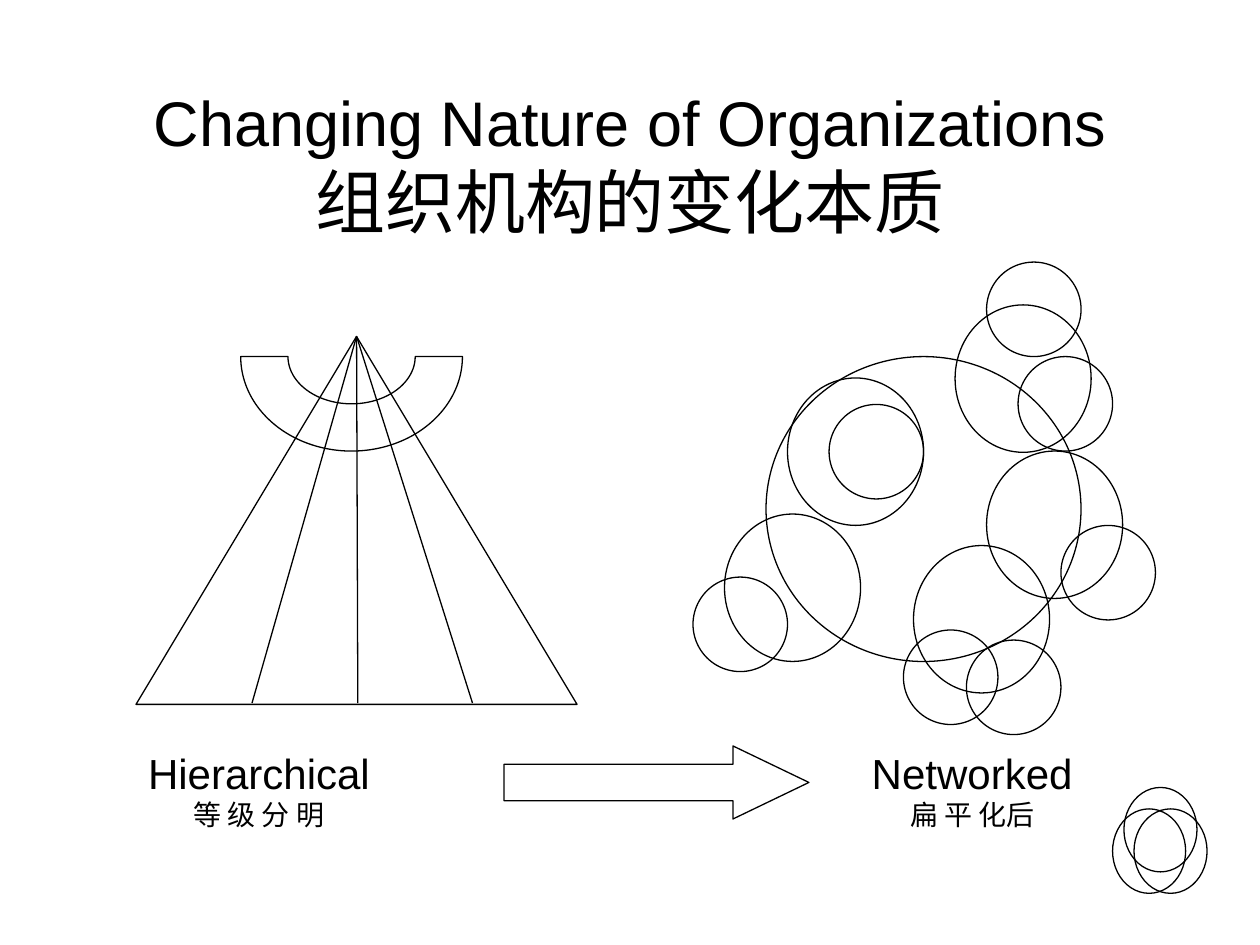
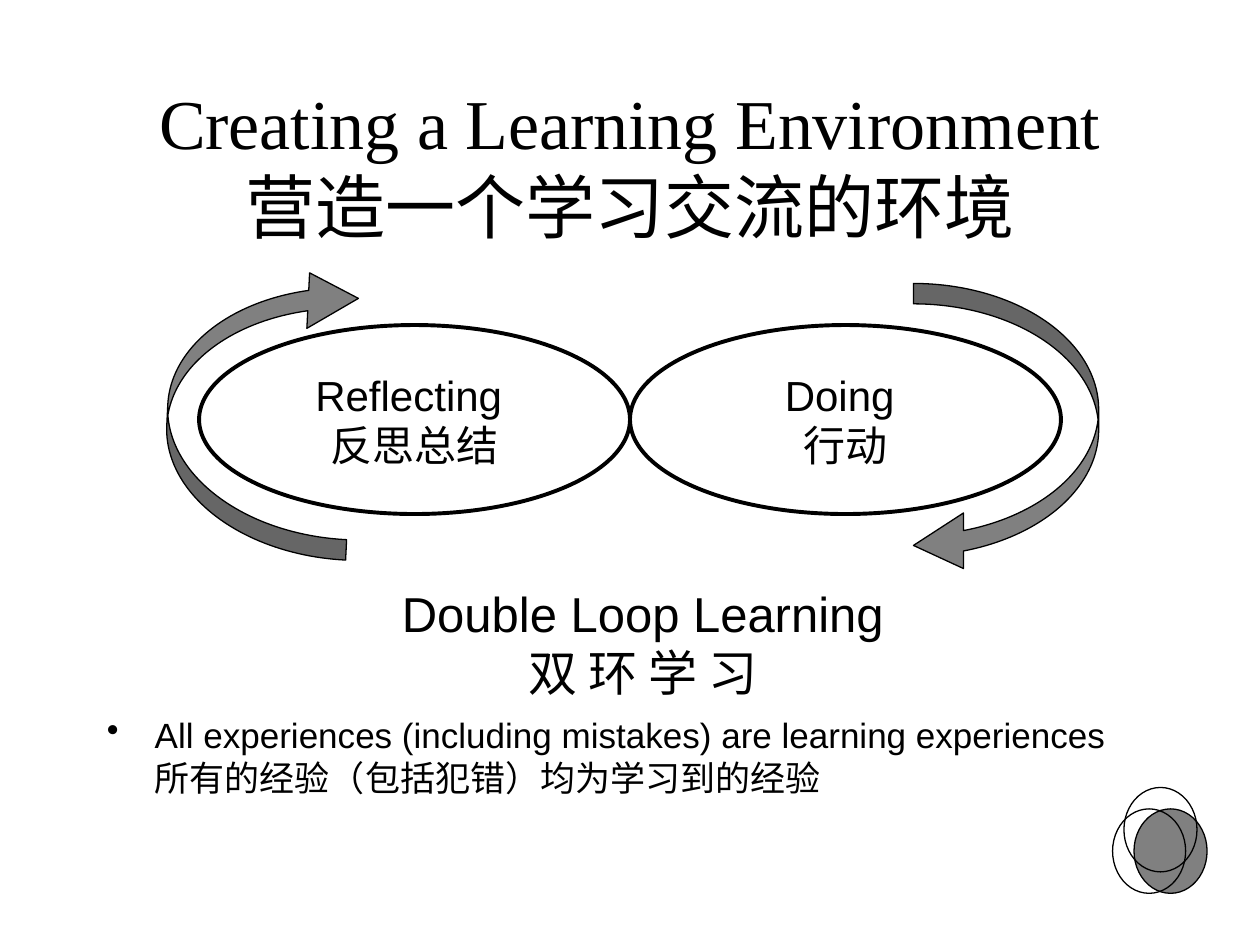
"""Build two slides on changing organizations and the learning environment."""
import dataclasses
import typing

import lxml.etree
import pptx
import pptx.dml.color
import pptx.enum.shapes
import pptx.enum.text
import pptx.oxml.ns
import pptx.shapes.autoshape
import pptx.slide
import pptx.text.text
import pptx.util

Inches = pptx.util.Inches
Pt = pptx.util.Pt
Preset = pptx.enum.shapes.MSO_SHAPE
Align = pptx.enum.text.PP_ALIGN
Anchor = pptx.enum.text.MSO_ANCHOR

BLACK = "000000"
GRAY = "808080"
SANS = "Arial"
SERIF = "Times New Roman"
THIN = 0.75
THICK = 2.25


@dataclasses.dataclass(frozen=True)
class Area:
    """A rectangle in inches."""

    left: float
    top: float
    width: float
    height: float

    def lengths(self) -> list[pptx.util.Length]:
        """Return the four measures as lengths."""
        return [Inches(value) for value in dataclasses.astuple(self)]


@dataclasses.dataclass(frozen=True)
class Line:
    """A line of text with its size in points."""

    text: str
    size: float


@dataclasses.dataclass(frozen=True)
class Label:
    """A centred text box with one paragraph per line."""

    area: Area
    lines: tuple[Line, ...]


@dataclasses.dataclass(frozen=True)
class Loop:
    """A labelled ellipse with the curved arrow around it."""

    ellipse: Area
    text: str
    arrow: Area
    rotation: float


TITLE_AREA = Area(0.75, 0.67, 8.5, 1.25)
BODY_AREA = Area(0.75, 5.68, 8.5, 1)

APEX = (2.83, 2.67)
BASE_Y = 5.58
BASE_POINTS = (2, 2.84, 3.75)

HUB = Area(6.08, 2.83, 2.5, 2.42)
TEAM_SIZE = (1.08, 1.17)
TEAMS = ((7.58, 2.42), (6.25, 3), (7.25, 4.33), (7.83, 3.58), (5.75, 4.08))
MEMBER_SIZE = (0.75, 0.75)
MEMBERS = (
    (5.5, 4.58), (8.42, 4.17), (7.67, 5.08), (7.17, 5),
    (8.08, 2.83), (7.83, 2.08), (6.58, 3.21),
)
EMBLEM_SIZE = (0.58, 0.67)
EMBLEM_FRONT = (9, 6.42)
EMBLEM_OTHERS = ((8.92, 6.25), (8.83, 6.42))

STRUCTURE_LABELS = (
    Label(Area(1.07, 5.88, 1.97, 0.77), (Line("Hierarchical", 24), Line("等 级 分 明", 16))),
    Label(Area(6.82, 5.88, 1.79, 0.77), (Line("Networked", 24), Line("扁 平 化后", 16))),
)
LOOP_LABEL = Label(
    Area(3.09, 4.58, 4.02, 1.04),
    (Line("Double Loop Learning", 28), Line("双 环 学 习", 28)),
)
LOOPS = (
    Loop(Area(1.58, 2.58, 3.42, 1.5), "Reflecting \v反思总结", Area(1.33, 2.11, 1.47, 2.3), 182.8),
    Loop(Area(5, 2.58, 3.42, 1.5), "Doing \v行动", Area(7.25, 2.25, 1.47, 2.3), 0),
)
LOOP_ARROW_ADJUSTMENTS = (0.11, 0.3, 0.27)
EXPERIENCES = (
    "All experiences (including mistakes) are learning experiences",
    "所有的经验（包括犯错）均为学习到的经验",
)


def color(code: str) -> pptx.dml.color.RGBColor:
    """Turn a hex string into a colour."""
    return pptx.dml.color.RGBColor.from_string(code)


def set_font(font: pptx.text.text.Font, size: float, name: str = SANS) -> None:
    """Give a font its size, name and black colour."""
    font.size = Pt(size)
    font.name = name
    font.color.rgb = color(BLACK)


def add_preset(
    page: pptx.slide.Slide,
    preset: Preset,
    area: Area,
    fill: typing.Optional[str] = None,
    weight: float = THIN,
    rotation: float = 0,
    adjustments: tuple[float, ...] = (),
) -> pptx.shapes.autoshape.Shape:
    """Draw an outlined preset shape, hollow unless a fill is given."""
    shape = page.shapes.add_shape(preset, *area.lengths())
    shape.shadow.inherit = False
    shape.rotation = rotation
    for index, value in enumerate(adjustments):
        shape.adjustments[index] = value
    if fill:
        shape.fill.solid()
        shape.fill.fore_color.rgb = color(fill)
    else:
        shape.fill.background()
    shape.line.color.rgb = color(BLACK)
    shape.line.width = Pt(weight)
    return shape


def add_ellipses(
    page: pptx.slide.Slide,
    corners: tuple[tuple[float, float], ...],
    size: tuple[float, float],
    fill: typing.Optional[str] = None,
) -> None:
    """Draw ellipses of one size at the given corners."""
    for corner in corners:
        add_preset(page, Preset.OVAL, Area(*corner, *size), fill)


def add_ray(page: pptx.slide.Slide, base_x: float) -> None:
    """Draw a line from the pyramid apex to its base."""
    points = [Inches(value) for value in (*APEX, base_x, BASE_Y)]
    ray = page.shapes.add_connector(pptx.enum.shapes.MSO_CONNECTOR.STRAIGHT, *points)
    ray.line.color.rgb = color(BLACK)
    ray.line.width = Pt(THIN)
    lxml.etree.SubElement(ray._element.spPr, pptx.oxml.ns.qn("a:effectLst"))


def add_frame(page: pptx.slide.Slide, area: Area, wrap: bool) -> pptx.text.text.TextFrame:
    """Add an empty text box and return its frame."""
    frame = page.shapes.add_textbox(*area.lengths()).text_frame
    frame.word_wrap = wrap
    return frame


def add_title(page: pptx.slide.Slide, lines: tuple[Line, Line], name: str) -> None:
    """Add the two-line slide title."""
    frame = add_frame(page, TITLE_AREA, True)
    frame.vertical_anchor = Anchor.MIDDLE
    para = frame.paragraphs[0]
    para.alignment = Align.CENTER
    first, second = lines
    set_font(para.font, first.size, name)
    para.add_run().text = first.text
    para.add_line_break()
    span = para.add_run()
    span.text = second.text
    if second.size != first.size:
        span.font.size = Pt(second.size)


def add_label(page: pptx.slide.Slide, label: Label) -> None:
    """Add a centred label."""
    frame = add_frame(page, label.area, False)
    frame.text = "\n".join(line.text for line in label.lines)
    for para, line in zip(frame.paragraphs, label.lines):
        para.alignment = Align.CENTER
        set_font(para.font, line.size)


def add_loop(page: pptx.slide.Slide, loop: Loop) -> None:
    """Draw a labelled ellipse and its curved arrow."""
    ellipse = add_preset(page, Preset.OVAL, loop.ellipse, weight=THICK)
    frame = ellipse.text_frame
    frame.word_wrap = False
    frame.vertical_anchor = Anchor.MIDDLE
    para = frame.paragraphs[0]
    para.text = loop.text
    para.alignment = Align.CENTER
    set_font(para.font, 24)
    add_preset(page, Preset.CURVED_LEFT_ARROW, loop.arrow, GRAY,
               rotation=loop.rotation, adjustments=LOOP_ARROW_ADJUSTMENTS)


def add_experiences(page: pptx.slide.Slide) -> None:
    """Add the bulleted statement and its indented translation."""
    frame = add_frame(page, BODY_AREA, True)
    frame.text = "\n".join(EXPERIENCES)
    statement, translation = frame.paragraphs
    for para in frame.paragraphs:
        para.line_spacing = 0.8
        para._p.get_or_add_pPr().set("marL", str(Inches(0.38)))
    translation.space_before = Pt(5)
    properties = statement._p.get_or_add_pPr()
    properties.set("indent", str(-Inches(0.38)))
    bullet = lxml.etree.SubElement(properties, pptx.oxml.ns.qn("a:buChar"))
    bullet.set("char", "•")
    for para in frame.paragraphs:
        set_font(para.font, 20)


def add_emblem(page: pptx.slide.Slide, fill: typing.Optional[str] = None) -> None:
    """Draw the three overlapping ellipses in the lower right corner."""
    add_ellipses(page, (EMBLEM_FRONT,), EMBLEM_SIZE, fill)
    add_ellipses(page, EMBLEM_OTHERS, EMBLEM_SIZE)


def build_organizations(page: pptx.slide.Slide) -> None:
    """Compare the hierarchy with the network."""
    add_title(page, (Line("Changing Nature of Organizations", 36),
                     Line("组织机构的变化本质", 40)), SANS)
    add_preset(page, Preset.ISOSCELES_TRIANGLE, Area(1.08, 2.67, 3.5, 2.92))
    add_preset(page, Preset.BLOCK_ARC, Area(1.91, 2.08, 1.76, 1.5), rotation=180)
    for base_x in BASE_POINTS:
        add_ray(page, base_x)
    add_preset(page, Preset.OVAL, HUB)
    add_ellipses(page, TEAMS, TEAM_SIZE)
    add_ellipses(page, MEMBERS, MEMBER_SIZE)
    add_preset(page, Preset.RIGHT_ARROW, Area(4, 5.92, 2.42, 0.58), adjustments=(0.5, 1.04))
    for label in STRUCTURE_LABELS:
        add_label(page, label)
    add_emblem(page)


def build_learning(page: pptx.slide.Slide) -> None:
    """Show the double loop of reflecting and doing."""
    add_title(page, (Line("Creating a Learning Environment", 40),
                     Line("营造一个学习交流的环境", 40)), SERIF)
    add_experiences(page)
    for loop in LOOPS:
        add_loop(page, loop)
    add_label(page, LOOP_LABEL)
    add_emblem(page, GRAY)


def main() -> None:
    """Build and save the deck."""
    deck = pptx.Presentation()
    deck.slide_width = Inches(10)
    deck.slide_height = Inches(7.5)
    for build in (build_organizations, build_learning):
        build(deck.slides.add_slide(deck.slide_layouts[6]))
    deck.save("out.pptx")


if __name__ == "__main__":
    main()
